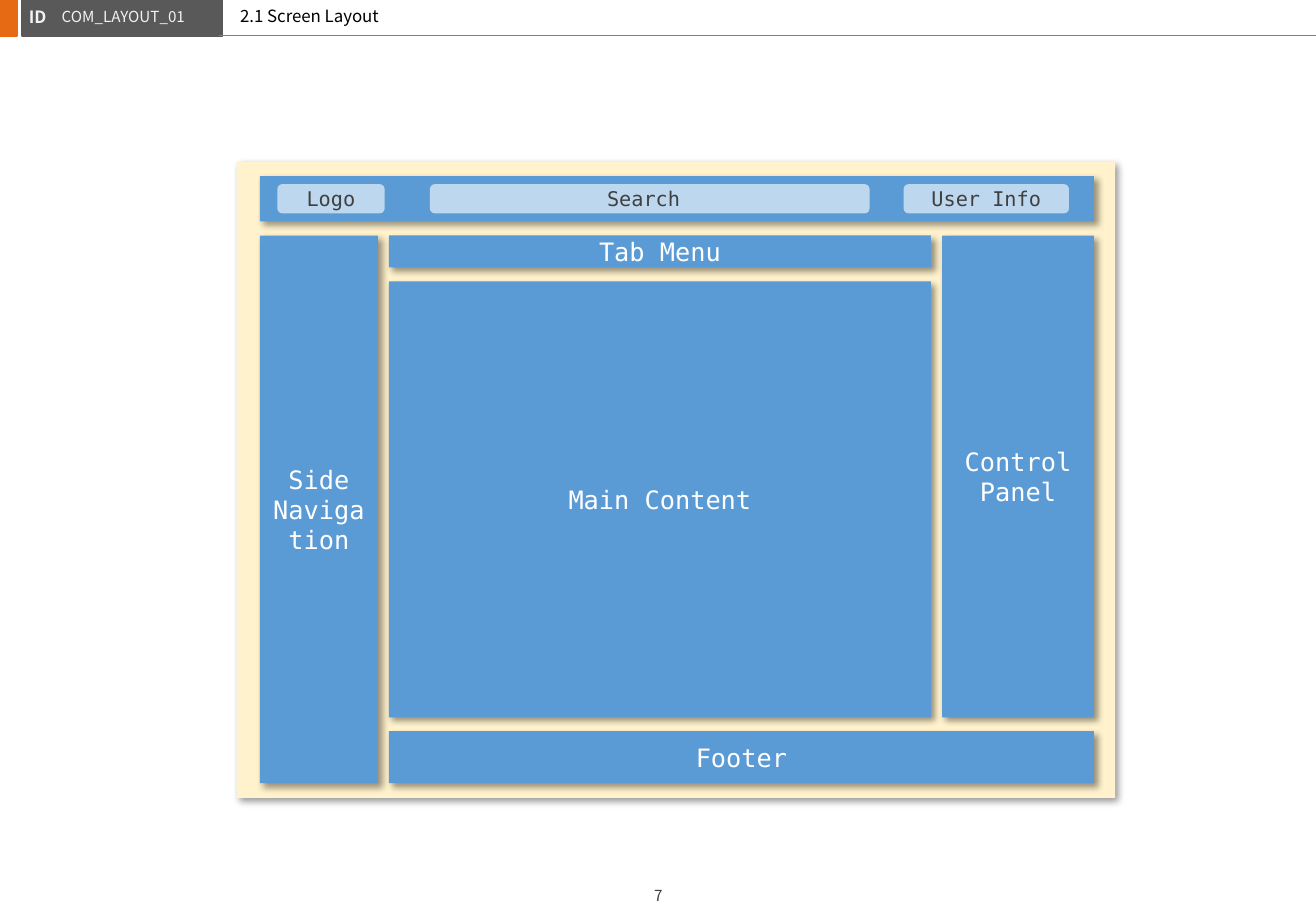
import pptx
import pptx.util
import pptx.dml.color
import pptx.enum.shapes
import pptx.enum.text
import pptx.oxml

Pt = pptx.util.Pt
Kind = pptx.enum.shapes.MSO_SHAPE
Align = pptx.enum.text.PP_ALIGN
Anchor = pptx.enum.text.MSO_ANCHOR
SANS = "Noto Sans CJK KR"
MONO = "DejaVu Sans Mono"
NS = 'xmlns:a="http://schemas.openxmlformats.org/drawingml/2006/main"'
SHADE = (
    f'<a:effectLst {NS}><a:outerShdw blurRad="50800" dist="38100" dir="2700000" '
    'algn="tl" rotWithShape="0"><a:srgbClr val="000000"><a:alpha val="40000"/>'
    '</a:srgbClr></a:outerShdw></a:effectLst>'
)


def hue(code):
    return pptx.dml.color.RGBColor.from_string(code)


def write(shape, text, align, color, form):
    frame = shape.text_frame
    frame.word_wrap = True
    frame.vertical_anchor = Anchor.MIDDLE
    for num, line in enumerate(text.split("\n")):
        para = frame.add_paragraph() if num else frame.paragraphs[0]
        para.alignment = align
        run = para.add_run()
        run.text = line
        for key, value in form.items():
            setattr(run.font, key, value)
        run.font.color.rgb = hue(color)


deck = pptx.Presentation()
deck.slide_width, deck.slide_height = Pt(780), Pt(540)
slide = deck.slides.add_slide(deck.slide_layouts[6])
shapes = slide.shapes

for left, width, color in [(0, 10, "E66914"), (13, 119, "595959")]:
    bar = shapes.add_shape(Kind.RECTANGLE, Pt(left), Pt(0), Pt(width), Pt(21.5))
    bar.shadow.inherit = False
    bar.fill.solid()
    bar.fill.fore_color.rgb = hue(color)
    bar.line.color.rgb = hue(color)
    bar.line.width = Pt(1)

rule = shapes.add_connector(
    pptx.enum.shapes.MSO_CONNECTOR.STRAIGHT, Pt(130), Pt(21.3), Pt(780), Pt(21.3))
rule.line.color.rgb = hue("808080")
rule.line.width = Pt(0.5)
rule._element.spPr.append(pptx.oxml.parse_xml(f"<a:effectLst {NS}/>"))

labels = [
    ("ID", 10, 0, 32, 19.4, Align.LEFT, "F2F2F2", 10, True),
    ("7", 374.4, 522, 31.7, 17.3, Align.CENTER, "404040", 9, False),
    ("2.1 Screen Layout", 135.2, 0, 527, 18.7, Align.LEFT, "000000", 10, False),
    ("COM_LAYOUT_01", 29.5, 1.5, 97.2, 16.6, Align.LEFT, "F2F2F2", 9, False),
]
for text, left, top, width, height, align, color, size, bold in labels:
    box = shapes.add_textbox(Pt(left), Pt(top), Pt(width), Pt(height))
    write(box, text, align, color, {"name": SANS, "size": Pt(size), "bold": bold})

edge, end = 154, 648.4
mid, side = 230.5, 558.4
stop = 551.8
body, low = 139.6, 464.2
base = 425.3
panes = [
    ("", 140.4, 95.8, 661, 473, "FFF2CC"),
    ("", edge, 104.4, end, 131.2, "5B9BD5"),
    ("Side\nNavigation", edge, body, 224, low, "5B9BD5"),
    ("Main Content", mid, 166.8, stop, base, "5B9BD5"),
    ("Control\nPanel", side, body, end, base, "5B9BD5"),
    ("Footer", mid, 433.4, end, low, "5B9BD5"),
    ("Tab Menu", mid, body, stop, 158.6, "5B9BD5"),
]
chips = [
    ("Logo", 164.4, 109.2, 228, 126.5, "BDD7EE"),
    ("Search ", 254.8, 109.2, 515.4, 126.5, "BDD7EE"),
    ("User Info", 535.6, 109.2, 633.6, 126.5, "BDD7EE"),
]
for group, kind, size, ink in [
    (panes, Kind.RECTANGLE, 15, "FFFFFF"),
    (chips, Kind.ROUNDED_RECTANGLE, 12, "404040"),
]:
    for text, left, top, right, bottom, color in group:
        pane = shapes.add_shape(
            kind, Pt(left), Pt(top), Pt(right - left), Pt(bottom - top))
        pane.fill.solid()
        pane.fill.fore_color.rgb = hue(color)
        pane.line.fill.background()
        if group is panes:
            pane._element.spPr.append(pptx.oxml.parse_xml(SHADE))
        else:
            pane.shadow.inherit = False
        if text:
            write(pane, text, Align.CENTER, ink, {"name": MONO, "size": Pt(size)})

deck.save("out.pptx")
